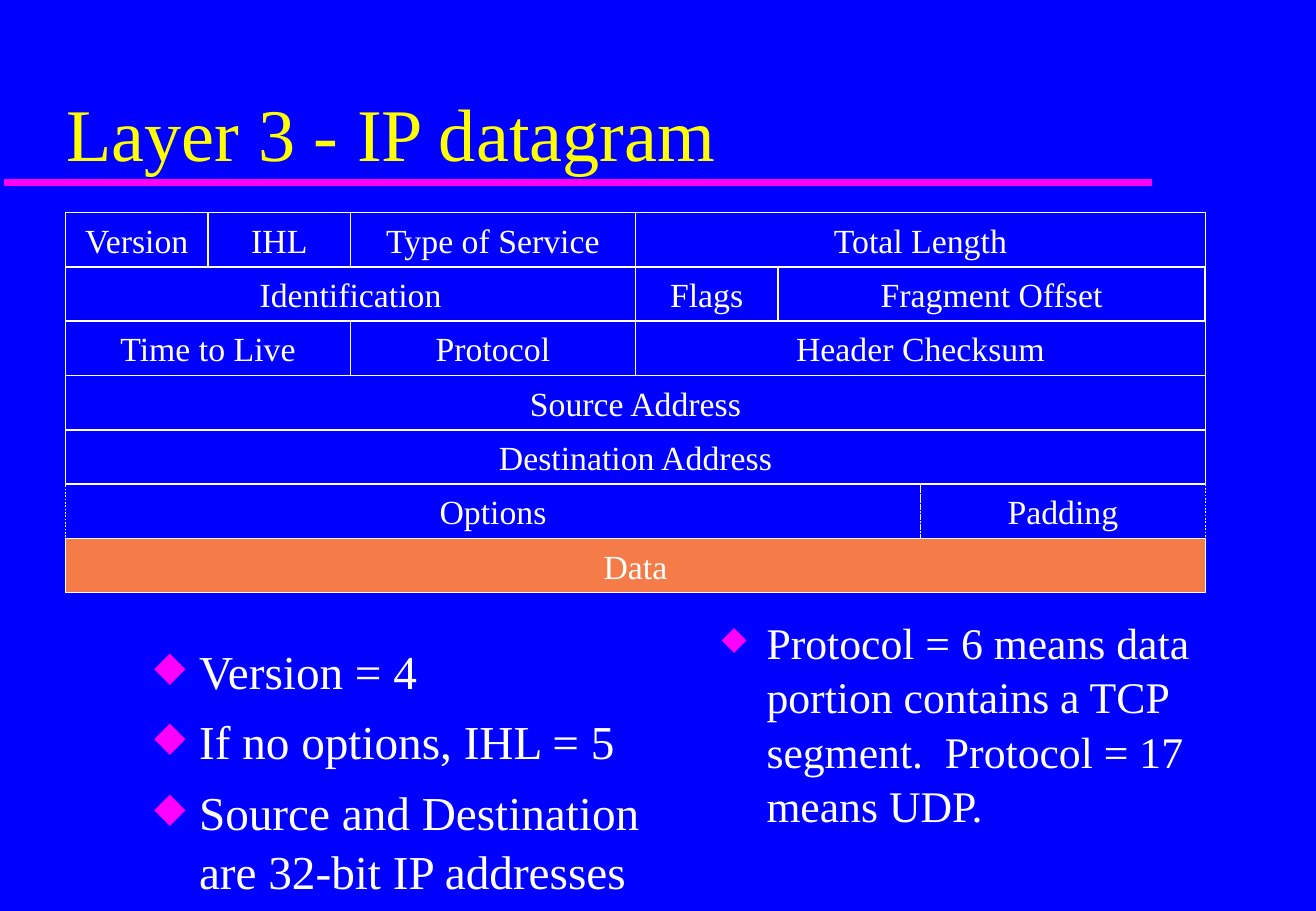
from pptx import Presentation
from pptx.dml.color import RGBColor
from pptx.enum.dml import MSO_LINE
from pptx.enum.shapes import MSO_CONNECTOR, MSO_SHAPE
from pptx.enum.text import MSO_ANCHOR as Anchor, PP_ALIGN as Align
from pptx.oxml import parse_xml
from pptx.oxml.ns import nsdecls, qn
from pptx.util import Inches, Pt

BLUE = RGBColor(0x00, 0x00, 0xFF)
WHITE = RGBColor(0xFF, 0xFF, 0xFF)
YELLOW = RGBColor(0xFF, 0xFF, 0x00)
MAGENTA = RGBColor(0xFF, 0x00, 0xFF)
ORANGE = RGBColor(0xF5, 0x7B, 0x49)

# Each header row is 32 bits: (label, bits)
HEADER = [
    [("Version", 4), ("IHL", 4), ("Type of Service", 8), ("Total Length", 16)],
    [("Identification", 16), ("Flags", 4), ("Fragment Offset", 12)],
    [("Time to Live", 8), ("Protocol", 8), ("Header Checksum", 16)],
    [("Source Address", 32)],
    [("Destination Address", 32)],
    [("Options", 24), ("Padding", 8)],
    [("Data", 32)],
]
STYLES = {
    "Options": {"dash": MSO_LINE.ROUND_DOT},
    "Padding": {"dash": MSO_LINE.ROUND_DOT},
    "Data": {"fill": ORANGE},
}


def write(tf, text, size, color=WHITE, align=Align.LEFT, anchor=Anchor.TOP,
          inset=0.1, bullet=None, spacing=None):
    """Fill a frame, one paragraph per line; bullet is its size in percent."""
    tf.word_wrap = True
    tf.vertical_anchor = anchor
    tf.margin_left = tf.margin_right = Inches(inset)
    tf.margin_top = tf.margin_bottom = Inches(0.05)
    for i, line in enumerate(text.split("\n")):
        p = tf.add_paragraph() if i else tf.paragraphs[0]
        if bullet:
            add_bullet(p, bullet)
        p.alignment = align
        p.line_spacing = spacing
        p.space_before = Pt(6.8 if i else 0)
        r = p.add_run()
        r.text = line
        r.font.name = "Times New Roman"
        r.font.size = Pt(size)
        r.font.color.rgb = color


def add_bullet(p, percent):
    pPr = p._p.get_or_add_pPr()
    pPr.set("marL", str(Inches(0.37)))
    pPr.set("indent", str(-Inches(0.37)))
    for xml in (f'<a:buClr {nsdecls("a")}><a:srgbClr val="{MAGENTA}"/></a:buClr>',
                f'<a:buSzPct {nsdecls("a")} val="{percent * 1000}"/>',
                f'<a:buChar {nsdecls("a")} char="◆"/>'):
        pPr.append(parse_xml(xml))


class DatagramSlide:
    """Places text in percent of the slide and fields on a 32-bit grid."""
    LEFT, TOP = Inches(0.54), Inches(1.75)
    BIT, ROW = Inches(9.38) / 32, Inches(3.13) / 7

    def __init__(self, prs):
        self.width, self.height = prs.slide_width, prs.slide_height
        self.s = prs.slides.add_slide(prs.slide_layouts[6])
        self.s.background.fill.solid()
        self.s.background.fill.fore_color.rgb = BLUE

    def x(self, percent):
        return round(self.width * percent / 100)

    def y(self, percent):
        return round(self.height * percent / 100)

    def text(self, left, top, width, height, text, **fmt):
        sp = self.s.shapes.add_textbox(self.x(left), self.y(top),
                                       self.x(width), self.y(height))
        write(sp.text_frame, text, **fmt)

    def rule(self, left, right, top):
        line = self.s.shapes.add_connector(
            MSO_CONNECTOR.STRAIGHT, self.x(left), self.y(top),
            self.x(right), self.y(top))
        line.line.color.rgb = MAGENTA
        line.line.width = Pt(4)
        line._element.find(qn("p:spPr")).append(
            parse_xml(f'<a:effectLst {nsdecls("a")}/>'))

    def field(self, row, bit, bits, label, fill=None, dash=None):
        sp = self.s.shapes.add_shape(
            MSO_SHAPE.RECTANGLE, round(self.LEFT + bit * self.BIT),
            round(self.TOP + row * self.ROW), round(bits * self.BIT),
            round(self.ROW))
        sp.shadow.inherit = False
        if fill is None:
            sp.fill.background()
        else:
            sp.fill.solid()
            sp.fill.fore_color.rgb = fill
        sp.line.color.rgb = WHITE
        sp.line.width = Pt(1)
        if dash is not None:
            sp.line.dash_style = dash
        write(sp.text_frame, label, size=20, align=Align.CENTER,
              anchor=Anchor.MIDDLE, inset=0.05)


def main():
    prs = Presentation()
    prs.slide_width, prs.slide_height = Inches(10.83), Inches(7.5)
    slide = DatagramSlide(prs)
    slide.rule(0.28, 87.53, 20)
    slide.text(4.16, 3.87, 84.95, 16.13, "Layer 3 - IP datagram",
               size=44, color=YELLOW, anchor=Anchor.BOTTOM)
    for row, fields in enumerate(HEADER):
        bit = 0
        for label, bits in fields:
            slide.field(row, bit, bits, label, **STYLES.get(label, {}))
            bit += bits
    slide.text(10.8, 69.6, 41.46, 28.4,
               "Version = 4\nIf no options, IHL = 5\n"
               "Source and Destination are 32-bit IP addresses",
               size=28, bullet=87, spacing=1.04)
    slide.text(53.92, 66.7, 41.46, 25,
               "Protocol = 6 means data portion contains a TCP segment.  "
               "Protocol = 17 means UDP.",
               size=25.9, bullet=75, spacing=1.04)
    prs.save("out.pptx")


if __name__ == "__main__":
    main()
